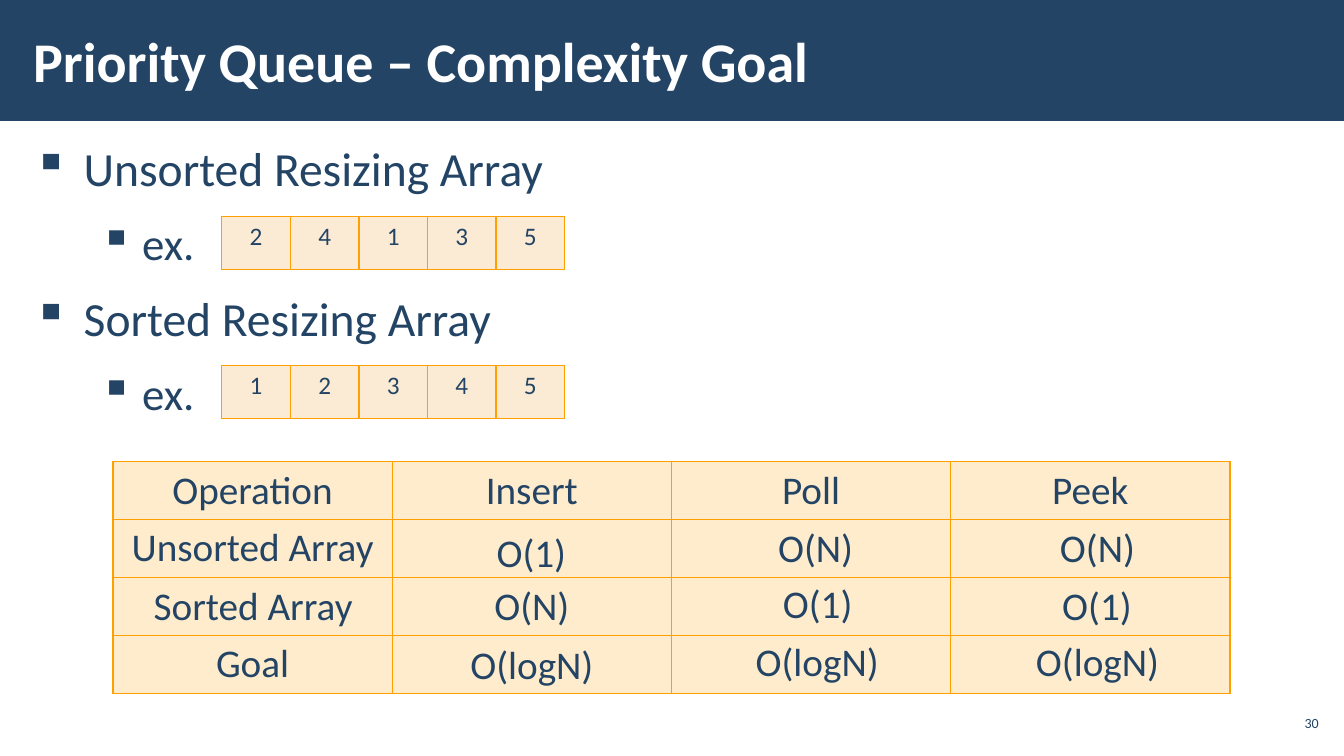
import pptx
import pptx.dml.color
import pptx.enum.shapes
import pptx.enum.text
import pptx.oxml
import pptx.oxml.ns
import pptx.util
from dataclasses import dataclass
from lxml import etree

Inches, Pt = pptx.util.Inches, pptx.util.Pt
RGB = pptx.dml.color.RGBColor.from_string
ALIGN, ANCHOR = pptx.enum.text.PP_ALIGN, pptx.enum.text.MSO_ANCHOR
qn = pptx.oxml.ns.qn


@dataclass(frozen=True)
class Theme:
    font: str = "Calibri"
    navy: str = "234465"
    white: str = "FFFFFF"
    border: str = "FFA000"
    complexity_fill: str = "FFECCC"
    array_fill: str = "FCEBD4"
    title: int = 40
    topic: int = 34
    example: int = 32
    complexity: int = 28
    array: int = 18
    page: int = 10


theme = Theme()


def style(paragraph, text, size, color=theme.navy, align=ALIGN.LEFT, bold=False):
    paragraph.text = text
    paragraph.alignment = align
    paragraph.font.name = theme.font
    paragraph.font.size = Pt(size)
    paragraph.font.color.rgb = RGB(color)
    paragraph.font.bold = bold


def add_grid(rows, left, top, column_width, row_height, size, fill):
    grid = slide.shapes.add_table(
        len(rows), len(rows[0]), Inches(left), Inches(top),
        Inches(column_width * len(rows[0])), Inches(row_height * len(rows))).table
    grid.first_row = grid.horz_banding = False
    for column in grid.columns:
        column.width = Inches(column_width)
    for r, row in enumerate(rows):
        grid.rows[r].height = Inches(row_height)
        for c, text in enumerate(row):
            cell = grid.cell(r, c)
            if text:
                style(cell.text_frame.paragraphs[0], text, size, align=ALIGN.CENTER)
            properties = cell._tc.get_or_add_tcPr()
            for side in ("lnL", "lnR", "lnT", "lnB"):
                line = etree.SubElement(properties, qn(f"a:{side}"), w=str(Pt(1)))
                solid = etree.SubElement(line, qn("a:solidFill"))
                etree.SubElement(solid, qn("a:srgbClr"), val=theme.border)
            cell.fill.solid()
            cell.fill.fore_color.rgb = RGB(fill)


presentation = pptx.Presentation()
presentation.slide_width, presentation.slide_height = Inches(13.33), Inches(7.5)
slide = presentation.slides.add_slide(presentation.slide_layouts[6])

# Title band
band = slide.shapes.add_shape(pptx.enum.shapes.MSO_SHAPE.RECTANGLE,
                              0, 0, Inches(13.33), Inches(1.2))
band.shadow.inherit = False
band.fill.solid()
band.fill.fore_color.rgb = RGB(theme.navy)
band.line.fill.background()

title = slide.shapes.add_textbox(
    Inches(0.21), Inches(0.11), Inches(10.4), Inches(0.97)).text_frame
title.word_wrap = True
title.vertical_anchor = ANCHOR.MIDDLE
title.margin_left = title.margin_right = Inches(0.12)
style(title.paragraphs[0], "Priority Queue – Complexity Goal", theme.title,
      theme.white, bold=True)

# Bulleted topics, each with an example
topics = slide.shapes.add_textbox(
    Inches(0.21), Inches(1.31), Inches(12.92), Inches(5.69)).text_frame
topics.word_wrap = True
topics.margin_left = topics.margin_right = Inches(0.12)
topics.margin_top = topics.margin_bottom = Inches(0.04)
outline = [("Unsorted Resizing Array", 0), ("ex.", 1),
           ("Sorted Resizing Array", 0), ("ex.", 1)]
levels = [(theme.topic, 0.5, -0.5), (theme.example, 1.08, -0.42)]
for i, (text, level) in enumerate(outline):
    item = topics.add_paragraph() if i else topics.paragraphs[0]
    size, margin, indent = levels[level]
    style(item, text, size)
    item.level = level
    item.line_spacing = 1.05
    item.space_before = item.space_after = Pt(6)
    properties = item._p.get_or_add_pPr()
    properties.set("marL", str(Inches(margin)))
    properties.set("indent", str(Inches(indent)))
    bullet = etree.Element(qn("a:buChar"), char="▪")
    properties.find(qn("a:defRPr")).addprevious(bullet)

# Page number
page = slide.shapes.add_textbox(
    Inches(12.65), Inches(7), Inches(0.47), Inches(0.34)).text_frame
page.word_wrap = True
page.vertical_anchor = ANCHOR.MIDDLE
page.margin_left = page.margin_right = Inches(0.04)
page.margin_top = page.margin_bottom = Inches(0.04)
style(page.paragraphs[0], "30", theme.page, align=ALIGN.RIGHT)

# Complexity table
add_grid([["Operation", "Insert", "Poll", "Peek"],
          ["Unsorted Array", "", "", ""],
          ["", "", "", ""],
          ["Goal", "", "", ""]],
         1.12, 4.58, 2.77, 0.575, theme.complexity, theme.complexity_fill)

# Answers laid over the table: text, left, top, width
answers = [
    ("Sorted Array", 1.12, 5.72, 2.78),
    ("O(1)", 4.82, 5.19, 0.9), ("O(N)", 7.52, 5.14, 1.14), ("O(N)", 10.27, 5.14, 1.23),
    ("O(N)", 4.63, 5.72, 1.29), ("O(1)", 7.66, 5.7, 0.9), ("O(1)", 10.43, 5.72, 0.9),
    ("O(logN)", 4.47, 6.3, 1.61), ("O(logN)", 7.21, 6.27, 1.79),
    ("O(logN)", 10.1, 6.27, 1.57),
]
for text, left, top, width in answers:
    answer = slide.shapes.add_textbox(
        Inches(left), Inches(top), Inches(width), Inches(0.57)).text_frame
    answer.word_wrap = True
    style(answer.paragraphs[0], text, theme.complexity, align=ALIGN.CENTER)

# Example arrays
for values, top in (("24135", 2.15), ("12345", 3.63)):
    add_grid([list(values)], 2.2, top, 0.68, 0.52, theme.array, theme.array_fill)

presentation.save("out.pptx")
